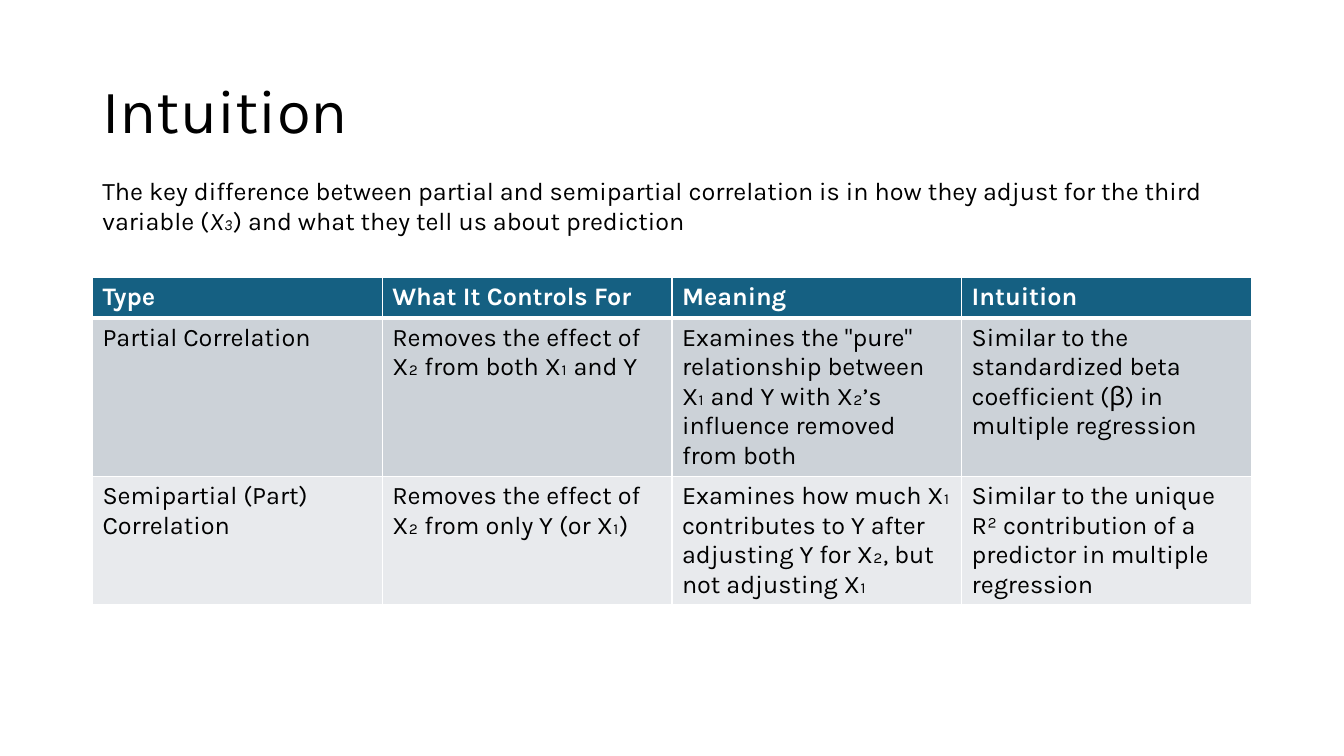
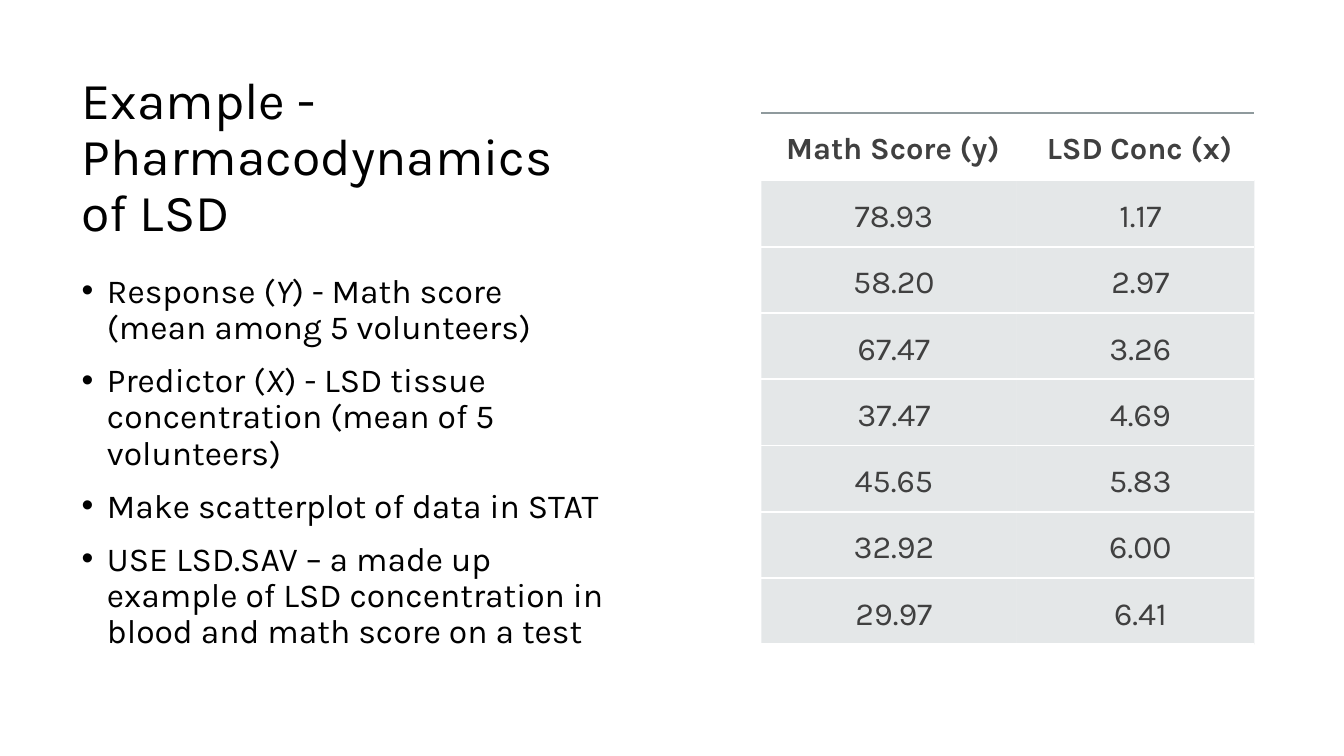
from lxml import etree
from pptx import Presentation, util as u
from pptx.dml.color import RGBColor
from pptx.enum import text as t
from pptx.oxml import ns

COLOURS = {"ink": "000000", "white": "FFFFFF", "header": "156082", "band_dark": "CCD2D8",
           "band_light": "E8EAED", "figures": "404040", "rule": "8F9A9D", "cell": "B4BCBE"}
FONT = "Karla"
NO_STYLE = "{2D5ABB26-0587-4C30-8999-92F81FD0307C}"
TITLE_FRAME = {"word_wrap": True, "auto_size": t.MSO_AUTO_SIZE.NONE,
               "vertical_anchor": t.MSO_ANCHOR.MIDDLE}
BODY_FRAME = {**TITLE_FRAME, "vertical_anchor": t.MSO_ANCHOR.TOP}
LEFT_TIGHT = {"alignment": t.PP_ALIGN.LEFT, "line_spacing": 0.9}

presentation = Presentation()
presentation.slide_width, presentation.slide_height = u.Inches(13.33), u.Inches(7.5)
# One percent of the slide's width and height
COLUMN, ROW = presentation.slide_width / 100, presentation.slide_height / 100


def write(paragraph, content, size, colour="ink", bold=False, **layout):
    """Write text into a paragraph; parts between underscores are italic."""
    for name, value in layout.items():
        setattr(paragraph, name, value)
    for index, part in enumerate(content.split("_")):
        run = paragraph.add_run()
        run.text = part
        run.font.color.rgb = RGBColor.from_string(COLOURS[colour])
        formats = {"name": FONT, "size": u.Pt(size), "bold": bold, "italic": index % 2 == 1}
        for name, value in formats.items():
            setattr(run.font, name, value)


def style_cell(cell, borders, fill=None, alpha=100):
    """Draw borders given as {side: (colour, points, alpha)}, then the fill."""
    properties = cell._tc.get_or_add_tcPr()
    for side in "LRTB":
        colour, points, opacity = borders.get(side, (None, 0, 100))
        line = etree.SubElement(properties, ns.qn(f"a:ln{side}"), w=str(u.Pt(points)))
        if colour is None:
            etree.SubElement(line, ns.qn("a:noFill"))
            continue
        solid = etree.SubElement(line, ns.qn("a:solidFill"))
        shade = etree.SubElement(solid, ns.qn("a:srgbClr"), val=COLOURS[colour])
        etree.SubElement(shade, ns.qn("a:alpha"), val=str(opacity * 1000))
    if fill is None:
        cell.fill.background()
        return
    cell.fill.solid()
    cell.fill.fore_color.rgb = RGBColor.from_string(COLOURS[fill])
    shade = properties.find(ns.qn("a:solidFill")).find(ns.qn("a:srgbClr"))
    etree.SubElement(shade, ns.qn("a:alpha"), val=str(alpha * 1000))


# Contents: boxes are left, top, width, height in percent of the slide
comparison = [
    ["Type", "What It Controls For", "Meaning", "Intuition"],
    ["Partial Correlation", "Removes the effect of X₂ from both X₁ and Y",
     "Examines the \"pure\" relationship between X₁ and Y with X₂’s influence removed from both",
     "Similar to the standardized beta coefficient (β) in multiple regression"],
    ["Semipartial (Part) Correlation", "Removes the effect of X₂ from only Y (or X₁)",
     "Examines how much X₁ contributes to Y after adjusting Y for X₂, but not adjusting X₁",
     "Similar to the unique R² contribution of a predictor in multiple regression"]]
scores = [["Math Score (y)", "LSD Conc (x)"], ["78.93", "1.17"], ["58.20", "2.97"],
          ["67.47", "3.26"], ["37.47", "4.69"], ["45.65", "5.83"], ["32.92", "6.00"],
          ["29.97", "6.41"]]
bullets = ["Response (_Y_) - Math score (mean among 5 volunteers)",
           "Predictor (_X_) - LSD tissue concentration (mean of 5 volunteers)",
           "Make scatterplot of data in STAT",
           "USE LSD.SAV – a made up example of LSD concentration in blood and math score on a test"]
pages = [
    {"layout": 5, "title": "Intuition", "size": 44, "box": (6.88, 5.33, 86.25, 19.33),
     "rows": comparison, "table": (6.88, 36.67), "widths": [21.56] * 4,
     "heights": [5.4, 20.93, 16.93]},
    {"layout": 1, "title": "Example - Pharmacodynamics of LSD", "size": 37,
     "box": (5.33, 9.2, 40.6, 23.6), "rows": scores, "table": (56.65, 14.93),
     "widths": [18.98, 17.7], "heights": [8.93] + [8.77] * 7}]

# Titles and empty tables
slides, tables = [], []
for page in pages:
    slide = presentation.slides.add_slide(presentation.slide_layouts[page["layout"]])
    title = slide.shapes.title
    left, top, width, height = page["box"]
    title.left, title.width = int(left * COLUMN), int(width * COLUMN)
    title.top, title.height = int(top * ROW), int(height * ROW)
    for name, value in TITLE_FRAME.items():
        setattr(title.text_frame, name, value)
    write(title.text_frame.paragraphs[0], page["title"], page["size"], **LEFT_TIGHT)

    left, top = page["table"]
    frame = slide.shapes.add_table(
        len(page["heights"]), len(page["widths"]), int(left * COLUMN), int(top * ROW),
        int(sum(page["widths"]) * COLUMN), int(sum(page["heights"]) * ROW))
    table = frame.table
    table.horz_banding = False
    table._tbl.tblPr.find(ns.qn("a:tableStyleId")).text = NO_STYLE
    for column, width in zip(table.columns, page["widths"]):
        column.width = int(width * COLUMN)
    for row, height in zip(table.rows, page["heights"]):
        row.height = int(height * ROW)
    slides.append(slide)
    tables.append(table)

# Slide 1: introduction and comparison table
intro = slides[0].shapes.add_textbox(int(6.88 * COLUMN), int(22.53 * ROW),
                                     int(86.25 * COLUMN), int(9.47 * ROW))
intro.text_frame.word_wrap = True
write(intro.text_frame.paragraphs[0],
      "The key difference between partial and semipartial correlation is in how they adjust "
      "for the third variable (_X₃_) and what they tell us about prediction", 18)
thin, thick = ("white", 1, 100), ("white", 3, 100)
for row, fill in enumerate(["header", "band_dark", "band_light"]):
    heading = row == 0
    for column, content in enumerate(comparison[row]):
        cell = tables[0].cell(row, column)
        write(cell.text_frame.paragraphs[0], content, 18, "white" if heading else "ink", heading)
        style_cell(cell, {"L": thin, "R": thin, "T": thick if row == 1 else thin,
                          "B": thick if heading else thin}, fill)

# Slide 2: bullet list
body = slides[1].placeholders[1]
body.left, body.top = int(5.33 * COLUMN), int(35.6 * ROW)
body.width, body.height = int(40.6 * COLUMN), int(55.2 * ROW)
for name, value in BODY_FRAME.items():
    setattr(body.text_frame, name, value)
for index, content in enumerate(bullets):
    paragraph = body.text_frame.add_paragraph() if index else body.text_frame.paragraphs[0]
    write(paragraph, content, 24, space_before=u.Pt(12), **LEFT_TIGHT)
    properties = paragraph._p.get_or_add_pPr()
    properties.set("marL", str(u.Inches(0.25)))
    properties.set("indent", str(-u.Inches(0.25)))

# Slide 2: score table
gap, rule = ("white", 1.5, 100), ("rule", 1.5, 60)
for row, values in enumerate(scores):
    heading = row == 0
    inset = u.Inches(0.13 if heading else 0.11)
    for column, content in enumerate(values):
        cell = tables[1].cell(row, column)
        margins = {"margin_left": u.Inches(0.21), "margin_right": inset, "margin_top": inset,
                   "margin_bottom": inset, "vertical_anchor": t.MSO_ANCHOR.BOTTOM}
        for name, value in margins.items():
            setattr(cell, name, value)
        write(cell.text_frame.paragraphs[0], content, 22 if heading else 23, "figures", heading,
              alignment=t.PP_ALIGN.CENTER)
        style_cell(cell, {"T": rule if heading else gap, "B": gap},
                   None if heading else "cell", 35)

presentation.save("out.pptx")
